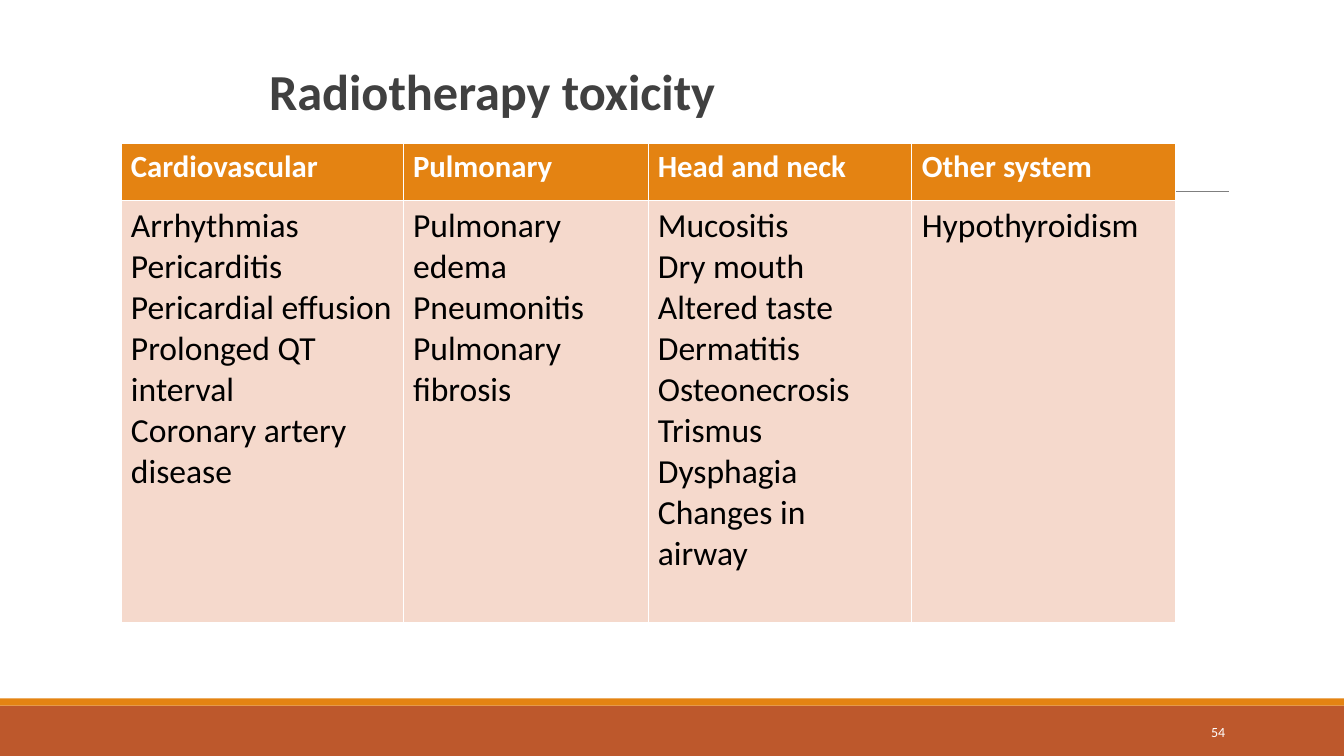
from lxml.etree import SubElement
from pptx import Presentation
from pptx.dml.color import RGBColor
from pptx.enum.shapes import MSO_CONNECTOR, MSO_SHAPE
from pptx.enum.text import MSO_ANCHOR as ANCHOR, MSO_AUTO_SIZE, PP_ALIGN as ALIGN
from pptx.oxml.ns import qn
from pptx.util import Inches, Pt

ORANGE = RGBColor(0xE4, 0x83, 0x12)
RUST = RGBColor(0xBD, 0x58, 0x2C)
PEACH = RGBColor(0xF5, 0xD9, 0xCC)
DARK = RGBColor(0x40, 0x40, 0x40)
GRAY = RGBColor(0x7F, 0x7F, 0x7F)
BLACK = RGBColor(0, 0, 0)
WHITE = RGBColor(0xFF, 0xFF, 0xFF)

TOXICITIES = {
    "Cardiovascular": ["Arrhythmias", "Pericarditis", "Pericardial effusion",
                       "Prolonged QT interval", "Coronary artery disease"],
    "Pulmonary": ["Pulmonary edema", "Pneumonitis", "Pulmonary fibrosis"],
    "Head and neck": ["Mucositis", "Dry mouth", "Altered taste", "Dermatitis",
                      "Osteonecrosis", "Trismus", "Dysphagia", "Changes in airway"],
    "Other system": ["Hypothyroidism"],
}


def write(tf, text, size, color, bold=False, align=ALIGN.LEFT, anchor=ANCHOR.TOP, spacing=1.0):
    tf.word_wrap = True
    tf.vertical_anchor = anchor
    tf.text = text
    for p in tf.paragraphs:
        p.alignment = align
        p.line_spacing = spacing
        for r in p.runs:
            r.font.name = "Calibri"
            r.font.size = Pt(size)
            r.font.bold = bold
            r.font.color.rgb = color


def add_borders(cell, top, bottom):
    tcPr = cell._tc.get_or_add_tcPr()
    for tag, width in (("a:lnL", 0.45), ("a:lnR", 0.45), ("a:lnT", top), ("a:lnB", bottom)):
        ln = SubElement(tcPr, qn(tag), w=str(Pt(width)))
        fill = SubElement(ln, qn("a:solidFill"))
        SubElement(fill, qn("a:srgbClr"), val=str(WHITE))


prs = Presentation()
prs.slide_width = Inches(13.34)
prs.slide_height = Inches(7.5)
s = prs.slides.add_slide(prs.slide_layouts[5])

for top, height, color in ((7, 0.5, RUST), (6.93, 0.07, ORANGE)):
    sp = s.shapes.add_shape(MSO_SHAPE.RECTANGLE, 0, Inches(top), prs.slide_width, Inches(height))
    sp.shadow.inherit = False
    sp.fill.solid()
    sp.fill.fore_color.rgb = color
    sp.line.fill.background()

rule = s.shapes.add_connector(MSO_CONNECTOR.STRAIGHT, Inches(1.31), Inches(1.9),
                              Inches(12.2), Inches(1.9))
rule.line.color.rgb = GRAY
rule.line.width = Pt(0.5)
SubElement(rule._element.spPr, qn("a:effectLst"))

title = s.shapes.title
title.left, title.top = Inches(2.57), Inches(0.31)
title.width, title.height = Inches(8.25), Inches(0.94)
write(title.text_frame, "Radiotherapy toxicity", size=36, color=DARK, bold=True,
      anchor=ANCHOR.BOTTOM, spacing=0.85)
title.text_frame.auto_size = MSO_AUTO_SIZE.NONE

number = s.shapes.add_textbox(Inches(10.83), Inches(7.06), Inches(1.43), Inches(0.4))
write(number.text_frame, "54", size=10, color=WHITE, align=ALIGN.RIGHT, anchor=ANCHOR.MIDDLE)

table = s.shapes.add_table(2, len(TOXICITIES), Inches(1.2), Inches(1.42),
                           Inches(10.47), Inches(4.75)).table
for row, height in zip(table.rows, (0.57, 4.18)):
    row.height = Inches(height)
for column, width in zip(table.columns, (2.8, 2.43, 2.62, 2.62)):
    column.width = Inches(width)

for col, (system, effects) in enumerate(TOXICITIES.items()):
    head, body = table.cell(0, col), table.cell(1, col)
    write(head.text_frame, system, size=22, color=WHITE, bold=True)
    write(body.text_frame, "\n".join(effects), size=24, color=BLACK)
    add_borders(head, top=0.45, bottom=1.47)
    add_borders(body, top=1.47, bottom=0.45)
    for cell, color in ((head, ORANGE), (body, PEACH)):
        cell.fill.solid()
        cell.fill.fore_color.rgb = color

prs.save("out.pptx")
